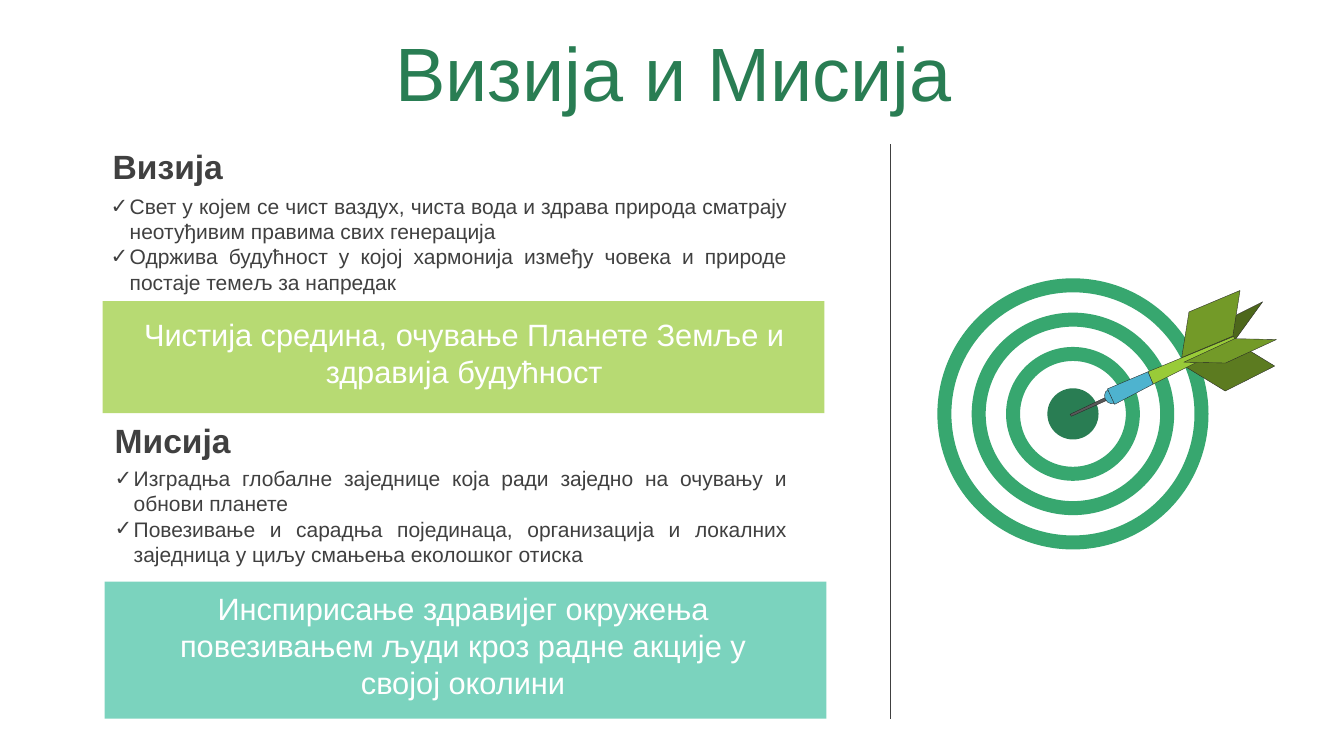
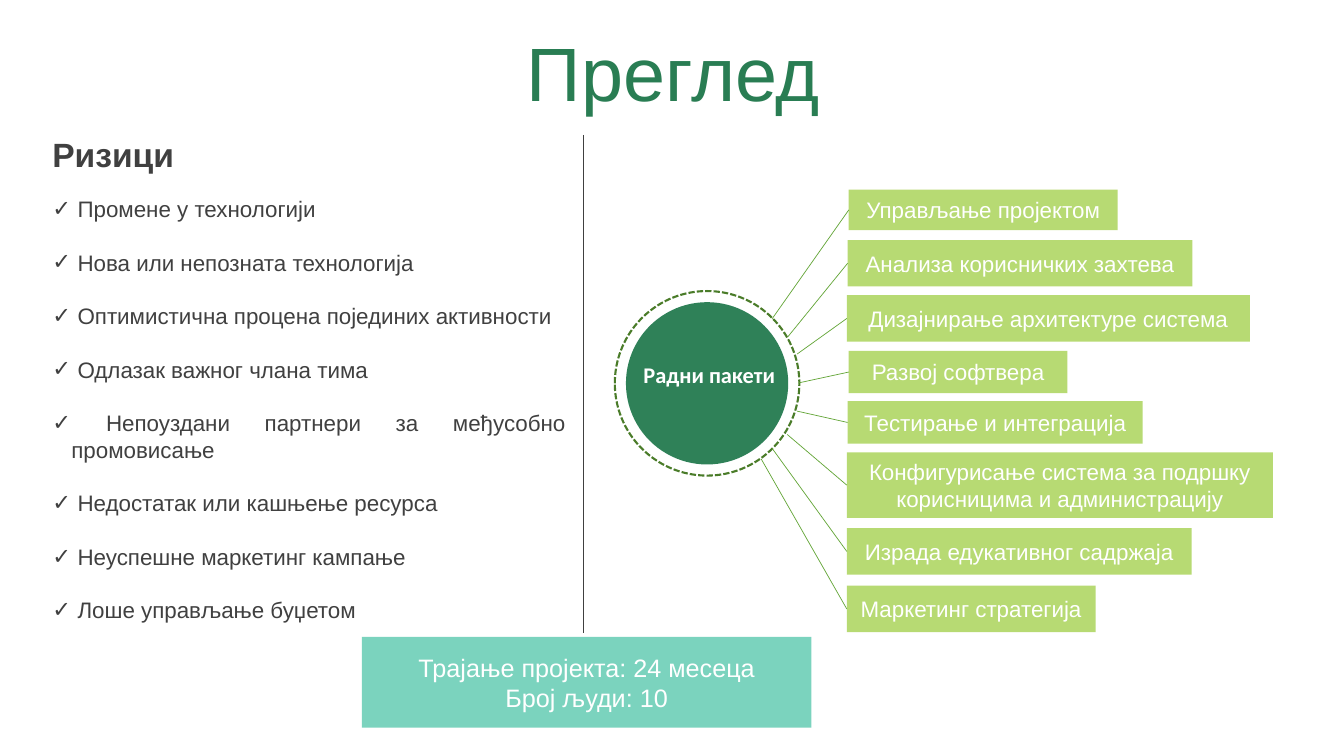
from dataclasses import dataclass

from lxml.etree import SubElement
from pptx import Presentation
from pptx.dml.color import RGBColor
from pptx.enum.dml import MSO_LINE
from pptx.enum.shapes import MSO_CONNECTOR, MSO_SHAPE
from pptx.enum.text import MSO_ANCHOR, PP_ALIGN
from pptx.oxml.ns import qn
from pptx.shapes.autoshape import Shape
from pptx.slide import Slide
from pptx.util import Cm, Pt

# Shared look
COLORS = {
    "forest": "297D53", "ring": "37A76F", "lime": "99CB38", "teal": "44C1A3",
    "ink": "404040", "white": "FFFFFF", "outline": "262626", "needle": "595959",
    "grip": "4EB3CF", "vane": "739A28", "vane_shade": "5C7B20",
    "vane_dark": "4D671B", "dashes": "4A7C29", "spoke": "63A537",
}
BAND_OPACITY = 70
BULLET_INDENT = Cm(0.48)


@dataclass(frozen=True)
class Box:
    left: float
    top: float
    width: float
    height: float

    def lengths(self) -> tuple[Cm, Cm, Cm, Cm]:
        return Cm(self.left), Cm(self.top), Cm(self.width), Cm(self.height)


@dataclass(frozen=True)
class TextStyle:
    size: float
    color: str
    align: PP_ALIGN = PP_ALIGN.CENTER
    bold: bool = False
    font: str = "Arial"
    anchor: MSO_ANCHOR = MSO_ANCHOR.TOP
    bullet: bool = False
    before: float = 0
    after: float = 0
    spacing: float = 1.0


TITLE = TextStyle(54, "forest", anchor=MSO_ANCHOR.MIDDLE, before=10, spacing=0.9)
HEADING = TextStyle(24, "ink", PP_ALIGN.LEFT, bold=True, anchor=MSO_ANCHOR.MIDDLE)
GOALS = TextStyle(15, "ink", PP_ALIGN.JUSTIFY, bullet=True)
RISKS = TextStyle(16, "ink", PP_ALIGN.JUSTIFY, bullet=True, after=19)
SLOGAN = TextStyle(22, "white")
HUB = TextStyle(16, "white", bold=True, font="Calibri")
PACKAGE = TextStyle(16, "white", anchor=MSO_ANCHOR.MIDDLE)
SUMMARY = TextStyle(18, "white", anchor=MSO_ANCHOR.MIDDLE)


@dataclass(frozen=True)
class Section:
    heading: str
    heading_box: Box
    points: tuple[str, ...]
    points_box: Box
    slogan: str
    slogan_box: Box
    band: Box
    band_color: str


@dataclass(frozen=True)
class DartPreset:
    box: Box
    turn: float
    color: str
    adjustments: tuple[float, ...]
    preset: MSO_SHAPE = MSO_SHAPE.PARALLELOGRAM
    flipped: bool = False


@dataclass(frozen=True)
class DartOutline:
    points: tuple[tuple[float, float], ...]
    color: str


@dataclass(frozen=True)
class WorkPackage:
    label: str
    box: Box
    spoke_start: tuple[float, float]


# Drawing functions
def rgb(name: str) -> RGBColor:
    return RGBColor.from_string(COLORS[name])


def write(shape: Shape, paragraphs: tuple[str, ...], style: TextStyle) -> None:
    frame = shape.text_frame
    frame.word_wrap = True
    frame.vertical_anchor = style.anchor
    for index, words in enumerate(paragraphs):
        paragraph = frame.add_paragraph() if index else frame.paragraphs[0]
        paragraph.alignment = style.align
        paragraph.line_spacing = style.spacing
        paragraph.space_before = Pt(style.before)
        paragraph.space_after = Pt(style.after)
        if style.bullet:
            properties = paragraph._p.get_or_add_pPr()
            properties.set("marL", str(BULLET_INDENT))
            properties.set("indent", str(-BULLET_INDENT))
            SubElement(properties, qn("a:buFont")).set("typeface", "Arial")
            SubElement(properties, qn("a:buChar")).set("char", "✓")
        run = paragraph.add_run()
        run.text = words
        run.font.name = style.font
        run.font.size = Pt(style.size)
        run.font.bold = style.bold
        run.font.color.rgb = rgb(style.color)


def add_text(slide: Slide, box: Box, style: TextStyle, *paragraphs: str) -> None:
    write(slide.shapes.add_textbox(*box.lengths()), paragraphs, style)


def paint(shape: Shape, fill: str = "", line: str = "", weight: float = 0,
          opacity: int = 100) -> None:
    shape.shadow.inherit = False
    if fill:
        shape.fill.solid()
        shape.fill.fore_color.rgb = rgb(fill)
        if opacity < 100:
            color = shape._element.spPr.find(qn("a:solidFill"))[0]
            SubElement(color, qn("a:alpha")).set("val", str(opacity * 1000))
    else:
        shape.fill.background()
    if line:
        shape.line.color.rgb = rgb(line)
        shape.line.width = Pt(weight)
    else:
        shape.line.fill.background()


def add_band(slide: Slide, box: Box, color: str) -> Shape:
    band = slide.shapes.add_shape(MSO_SHAPE.RECTANGLE, *box.lengths())
    paint(band, color, opacity=BAND_OPACITY)
    return band


def add_circle(slide: Slide, center: tuple[float, float], diameter: float) -> Shape:
    x, y = center
    box = Box(x - diameter / 2, y - diameter / 2, diameter, diameter)
    return slide.shapes.add_shape(MSO_SHAPE.OVAL, *box.lengths())


def add_line(slide: Slide, start: tuple[float, float], end: tuple[float, float],
             color: str) -> None:
    line = slide.shapes.add_connector(
        MSO_CONNECTOR.STRAIGHT, *(Cm(value) for value in start + end))
    line.line.color.rgb = rgb(color)
    line.line.width = Pt(0.5)
    SubElement(line._element.spPr, qn("a:effectLst"))


def add_dart_part(slide: Slide, part: DartPreset | DartOutline) -> None:
    if isinstance(part, DartOutline):
        corners = [(Cm(x), Cm(y)) for x, y in part.points]
        builder = slide.shapes.build_freeform(*corners[0])
        builder.add_line_segments(corners[1:], close=True)
        shape = builder.convert_to_shape()
    else:
        shape = slide.shapes.add_shape(part.preset, *part.box.lengths())
        shape.rotation = part.turn
        for index, value in enumerate(part.adjustments):
            shape.adjustments[index] = value
        if part.flipped:
            shape._element.spPr.find(qn("a:xfrm")).set("flipH", "1")
    paint(shape, part.color, "outline", 0.25)


def add_titled_slide(title: str) -> Slide:
    slide = deck.slides.add_slide(deck.slide_layouts[6])
    add_text(slide, Box(0.89, 0.94, 32.16, 2.01), TITLE, title)
    return slide


deck = Presentation()
deck.slide_width, deck.slide_height = Cm(33.87), Cm(19.05)

# Slide 1: vision and mission
SECTIONS = (
    Section(
        "Визија", Box(2.59, 3.56, 15.85, 1.27),
        ("Свет у којем се чист ваздух, чиста вода и здрава природа сматрају "
         "неотуђивим правима свих генерација",
         "Одржива будућност у којој хармонија између човека и природе "
         "постаје темељ за напредак"),
        Box(2.54, 4.75, 17.55, 2.82),
        "Чистија средина, очување Планете Земље и здравија будућност",
        Box(3.28, 7.82, 16.84, 2.13), Box(2.59, 7.59, 18.19, 2.82), "lime"),
    Section(
        "Мисија", Box(2.64, 10.46, 17.45, 1.27),
        ("Изградња глобалне заједнице која ради заједно на очувању и "
         "обнови планете",
         "Повезивање и сарадња појединаца, организација и локалних "
         "заједница у циљу смањења еколошког отиска"),
        Box(2.64, 11.61, 17.45, 2.82),
        "Инспирисање здравијег окружења повезивањем људи кроз радне акције "
        "у својој околини",
        Box(3.25, 14.73, 16.84, 3.07), Box(2.64, 14.66, 18.19, 3.45), "teal"),
)
TARGET_CENTER = (27.04, 10.43)
TARGET_DIAMETER, TARGET_STEP, TARGET_RINGS = 6.48, 1.73, 3
DART = (
    DartPreset(Box(29.39, 8.18, 2.69, 0.53), 153.4, "vane_dark", (1.92,)),
    DartOutline(((26.97, 10.44), (28.04, 9.93), (28.07, 10.01), (27, 10.49)), "needle"),
    DartPreset(Box(30, 8.74, 2.01, 0.99), 153.2, "vane_shade", (0.62,), flipped=True),
    DartPreset(Box(29.51, 7.67, 2.01, 0.99), 157.2, "vane", (0.62,)),
    DartOutline(((28.93, 9.37), (31.09, 8.48), (31.14, 8.64), (29.06, 9.68)), "lime"),
    DartPreset(Box(27.84, 9.8, 0.33, 0.38), 335.2, "grip", (53.91, 162), MSO_SHAPE.CHORD),
    DartOutline(((27.91, 9.8), (28.93, 9.37), (29.06, 9.68), (28.09, 10.19)), "grip"),
    DartPreset(Box(29.82, 8.61, 2.36, 0.46), 155.2, "vane", (2.06,), flipped=True),
)

vision = add_titled_slide("Визија и Мисија")
for section in SECTIONS:
    add_band(vision, section.band, section.band_color)
    add_text(vision, section.heading_box, HEADING, section.heading)
    add_text(vision, section.points_box, GOALS, *section.points)
    add_text(vision, section.slogan_box, SLOGAN, section.slogan)
for ring in range(TARGET_RINGS):
    paint(add_circle(vision, TARGET_CENTER, TARGET_DIAMETER - ring * TARGET_STEP),
          line="ring", weight=10)
bullseye = add_circle(vision, TARGET_CENTER, TARGET_DIAMETER - TARGET_RINGS * TARGET_STEP)
paint(bullseye, "forest")
for dart_part in DART:
    add_dart_part(vision, dart_part)
add_line(vision, (22.45, 3.63), (22.45, 18.11), "ink")

# Slide 2: risks and work packages
RISK_ITEMS = (
    " Промене у технологији",
    " Нова или непозната технологија",
    " Оптимистична процена појединих активности",
    " Одлазак важног члана тима",
    " Непоуздани партнери за међусобно промовисање",
    " Недостатак или кашњење ресурса",
    " Неуспешне маркетинг кампање",
    " Лоше управљање буџетом",
)
PACKAGES = (
    WorkPackage("Управљање пројектом", Box(21.39, 4.78, 6.78, 1.02), (19.46, 8.03)),
    WorkPackage("Анализа корисничких захтева", Box(21.36, 6.05, 8.69, 1.17), (19.86, 8.48)),
    WorkPackage("Дизајнирање архитектуре система", Box(21.34, 7.44, 10.16, 1.17),
                (20.09, 8.92)),
    WorkPackage("Развој софтвера", Box(21.39, 8.84, 5.51, 1.07), (20.12, 9.65)),
    WorkPackage("Тестирање и интеграција", Box(21.36, 10.11, 7.44, 1.07), (20.09, 10.36)),
    WorkPackage("Конфигурисање система за подршку корисницима и администрацију",
                Box(21.34, 11.4, 10.74, 1.65), (19.84, 10.95)),
    WorkPackage("Израда едукативног садржаја", Box(21.34, 13.31, 8.69, 1.17), (19.46, 11.3)),
    WorkPackage("Маркетинг стратегија", Box(21.34, 14.76, 6.27, 1.17), (19.18, 11.56)),
)
HUB_CENTER = (17.82, 9.66)

overview = add_titled_slide("Преглед")
paint(add_circle(overview, HUB_CENTER, 4.09), "forest", opacity=97)
hub_ring = add_circle(overview, HUB_CENTER, 4.65)
paint(hub_ring, line="dashes", weight=1.5)
hub_ring.line.dash_style = MSO_LINE.SQUARE_DOT
add_text(overview, Box(15.88, 8.97, 3.99, 0.94), HUB, "Радни пакети")
for package in PACKAGES:
    write(add_band(overview, package.box, "lime"), (package.label,), PACKAGE)
    middle = package.box.top + package.box.height / 2
    add_line(overview, package.spoke_start, (package.box.left, middle), "spoke")
add_text(overview, Box(1.07, 3.23, 11.56, 1.3), HEADING, "Ризици")
add_text(overview, Box(1.07, 4.8, 13.44, 11.43), RISKS, *RISK_ITEMS)
write(add_band(overview, Box(9.12, 16.05, 11.33, 2.29), "teal"),
      ("Трајање пројекта: 24 месеца", "Број људи: 10"), SUMMARY)
add_line(overview, (14.71, 3.4), (14.71, 15.95), "ink")

deck.save("out.pptx")
